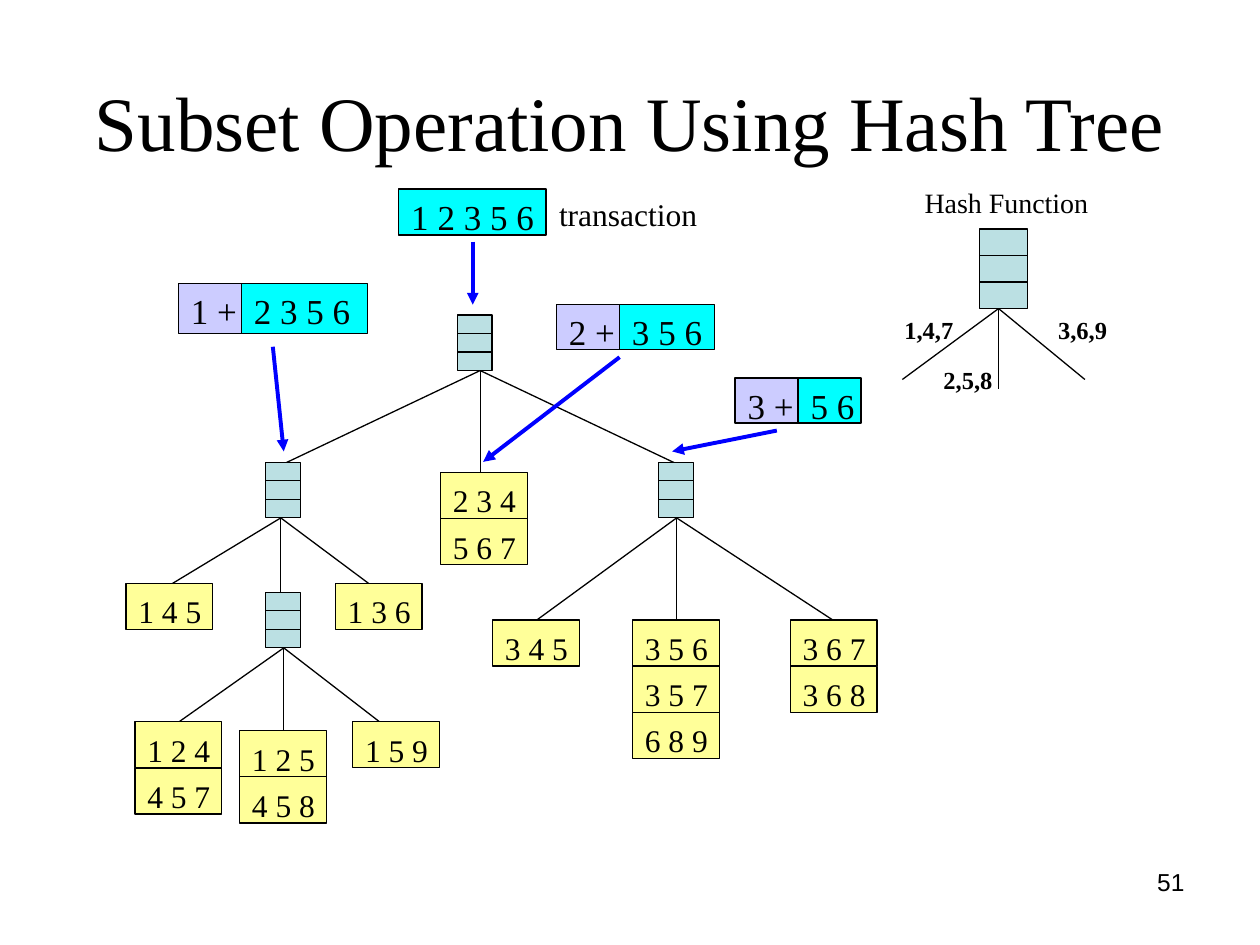
from dataclasses import dataclass

from lxml import etree
from pptx import Presentation
from pptx.dml.color import RGBColor
from pptx.enum import shapes, text
from pptx.oxml import ns
from pptx.util import Cm, Pt


@dataclass(frozen=True)
class Theme:
    ink: str = "000000"
    node: str = "BBE0E3"
    leaf: str = "FFFF99"
    prefix: str = "CCCCFF"
    items: str = "00FFFF"
    arrow: str = "0000FF"
    serif: str = "Times New Roman"
    sans: str = "Arial"
    title: int = 44
    chip: int = 20
    body: int = 18
    caption: int = 16
    small: int = 14
    thin: float = 0.75
    thick: float = 2.25


class TreeSlide:
    """Draws on one page; all lengths are in centimetres."""

    leaf_width, leaf_height = 1.75, 0.93
    prefix_width = 1.27

    def __init__(self, page, theme):
        self.page = page
        self.theme = theme

    def label(self, words, left, top, width, height, size, font=None, bold=False,
              align=text.PP_ALIGN.LEFT, anchor=text.MSO_ANCHOR.TOP, wrap=False):
        box = self.page.shapes.add_textbox(Cm(left), Cm(top), Cm(width), Cm(height))
        frame = box.text_frame
        frame.word_wrap = wrap
        # Single-line labels grow with their text, so they never break
        frame.auto_size = (text.MSO_AUTO_SIZE.NONE if wrap
                           else text.MSO_AUTO_SIZE.SHAPE_TO_FIT_TEXT)
        frame.vertical_anchor = anchor
        para = frame.paragraphs[0]
        para.alignment = align
        span = para.add_run()
        span.text = words
        span.font.name = font or self.theme.serif
        span.font.size = Pt(size)
        span.font.bold = bold
        span.font.color.rgb = RGBColor.from_string(self.theme.ink)

    def rect(self, left, top, width, height, fill):
        box = self.page.shapes.add_shape(
            shapes.MSO_SHAPE.RECTANGLE, Cm(left), Cm(top), Cm(width), Cm(height))
        box.shadow.inherit = False
        box.fill.solid()
        box.fill.fore_color.rgb = RGBColor.from_string(fill)
        box.line.color.rgb = RGBColor.from_string(self.theme.ink)
        box.line.width = Pt(self.theme.thin)

    def line(self, start, end):
        return self.stroke(start, end, self.theme.ink, self.theme.thin)

    def arrow(self, start, end):
        connector = self.stroke(start, end, self.theme.arrow, self.theme.thick)
        outline = connector.line._get_or_add_ln()
        etree.SubElement(outline, ns.qn("a:tailEnd"), type="triangle")

    def stroke(self, start, end, color, weight):
        connector = self.page.shapes.add_connector(
            shapes.MSO_CONNECTOR.STRAIGHT, *map(Cm, (*start, *end)))
        connector.line.color.rgb = RGBColor.from_string(color)
        connector.line.width = Pt(weight)
        etree.SubElement(connector._element.spPr, ns.qn("a:effectLst"))
        return connector

    def node(self, left, top, fan, ends, width=0.7, height=1.12):
        """A three-slot node with branches from the fan point."""
        for end in ends:
            self.line(fan, end)
        self.rect(left, top, width, height, self.theme.node)
        for slot in (1, 2):
            y = top + height * slot / 3
            self.line((left, y), (left + width, y))

    def cell(self, words, left, top, width, height, fill, size, drop=0.0):
        self.rect(left, top, width, height, fill)
        # Digits are half an em wide, spaces a quarter, plus signs a bit more
        ems = 0.375 * len(words) + 0.125 + 0.06 * words.count("+")
        text_width = 0.51 + ems * Pt(size).cm
        self.label(words, left, top + drop, text_width, size * 0.056, size)

    def leaf(self, left, top, itemsets):
        for row, itemset in enumerate(itemsets):
            self.cell(itemset, left, top + row * self.leaf_height, self.leaf_width,
                      self.leaf_height, self.theme.leaf, self.theme.body, drop=0.06)

    def split(self, prefix, items, left, top, items_width, height):
        """A fixed prefix followed by the items still to match."""
        self.cell(prefix, left, top, self.prefix_width, height,
                  self.theme.prefix, self.theme.chip)
        self.cell(items, left + self.prefix_width, top, items_width, height,
                  self.theme.items, self.theme.chip)


def main():
    deck = Presentation()
    deck.slide_width, deck.slide_height = Cm(25.4), Cm(19.05)
    theme = Theme()
    tree = TreeSlide(deck.slides.add_slide(deck.slide_layouts[6]), theme)

    # Page number and title
    tree.label("51", 18.21, 17.35, 5.92, 1.32, theme.small, font=theme.sans,
               align=text.PP_ALIGN.RIGHT, wrap=True)
    tree.label("Subset Operation Using Hash Tree", 1.27, 0.84, 22.86, 3.18, theme.title,
               align=text.PP_ALIGN.CENTER, anchor=text.MSO_ANCHOR.MIDDLE, wrap=True)

    # Inner nodes, parents first
    for left, top, fan, ends in (
        (9.22, 6.35, (9.68, 7.47), ((5.72, 9.35), (9.68, 9.52), (13.64, 9.35))),
        (5.36, 9.32, (5.66, 10.44), ((3.43, 11.79), (5.66, 11.94), (7.47, 11.79))),
        (13.28, 9.32, (13.64, 10.44), ((10.82, 12.5), (13.64, 12.5), (16.79, 12.5))),
        (5.36, 11.94, (5.72, 13.06), ((3.61, 14.55), (5.72, 14.73), (7.65, 14.55))),
    ):
        tree.node(left, top, fan, ends)

    # Leaves with their candidate itemsets
    for left, top, itemsets in (
        (7.11, 14.55, ["1 5 9"]),
        (2.54, 11.76, ["1 4 5"]),
        (6.76, 11.76, ["1 3 6"]),
        (9.93, 12.5, ["3 4 5"]),
        (15.93, 12.5, ["3 6 7", "3 6 8"]),
        (12.75, 12.5, ["3 5 6", "3 5 7", "6 8 9"]),
        (8.88, 9.52, ["2 3 4", "5 6 7"]),
        (2.72, 14.55, ["1 2 4", "4 5 7"]),
        (4.83, 14.73, ["1 2 5", "4 5 8"]),
    ):
        tree.leaf(left, top, itemsets)

    # Transaction and its arrows into the tree
    tree.cell("1 2 3 5 6", 8.04, 3.81, 2.97, 0.93, theme.items, theme.chip)
    for start, end in (
        ((9.53, 4.87), (9.53, 6.14)),
        ((5.5, 6.99), (5.72, 9.1)),
        ((12.49, 7.2), (9.74, 9.31)),
        ((15.66, 8.68), (13.55, 9.1)),
    ):
        tree.arrow(start, end)

    # Transaction split by first item
    tree.split("1 +", "2 3 5 6", 3.6, 5.72, 2.54, 1)
    tree.split("2 +", "3 5 6", 11.22, 6.14, 1.91, 0.91)
    tree.split("3 +", "5 6", 14.82, 7.62, 1.27, 0.91)

    # Hash function key
    tree.node(19.74, 4.62, (20.13, 6.22), ((18.19, 7.65), (20.13, 7.85), (21.87, 7.65)),
              width=0.97, height=1.6)
    for words, left, top in (("1,4,7", 17.98, 6.22), ("2,5,8", 18.77, 7.24),
                             ("3,6,9", 21.08, 6.22)):
        tree.label(words, left, top, 1.5, 0.86, theme.small, bold=True)
    tree.label("Hash Function", 18.39, 3.61, 3.81, 0.94, theme.caption)
    tree.label("transaction", 11.02, 3.81, 3.3, 1.02, theme.body)

    deck.save("out.pptx")


if __name__ == "__main__":
    main()
